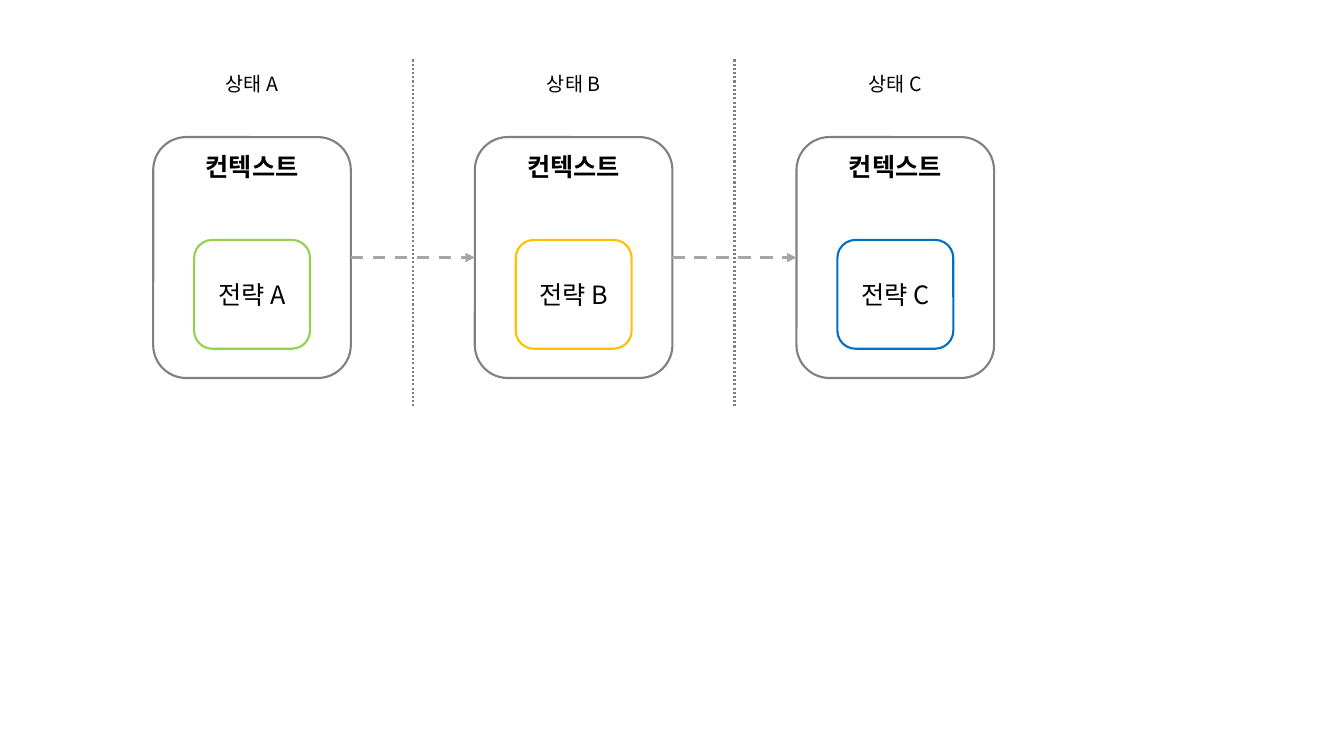
from lxml import etree
from pptx import Presentation
from pptx import util as u
from pptx.dml.color import RGBColor
from pptx.enum import dml, shapes, text
from pptx.oxml.ns import qn

FONT = "Noto Sans CJK KR"
COLORS = {
    "paper": "FFFFFF",
    "ink": "000000",
    "frame": "808080",
    "arrow": "A6A6A6",
}
STATES = [("A", "92D050"), ("B", "FFC000"), ("C", "0070C0")]

FIRST_CENTER = 2.5
PITCH = 3.19
CONTEXT_WIDTH, CONTEXT_HEIGHT = 1.96, 2.39
INNER_WIDTH = 1.15
ROWS = {"label": 0.59, "context": 1.36, "strategy": 2.38, "end": 4.03}


def color(value):
    return RGBColor.from_string(COLORS.get(value, value))


def add_box(diagram, center, top, width, height, words, size=18,
            outline=None, bold=False, anchor=text.MSO_ANCHOR.MIDDLE):
    shape = diagram.add_shape(
        shapes.MSO_SHAPE.ROUNDED_RECTANGLE,
        u.Inches(center - width / 2), u.Inches(top),
        u.Inches(width), u.Inches(height))
    shape.shadow.inherit = False
    shape.fill.solid()
    shape.fill.fore_color.rgb = color("paper")
    if outline:
        shape.line.color.rgb = color(outline)
        shape.line.width = u.Pt(1.5)
    else:
        shape.line.fill.background()
    shape.text_frame.vertical_anchor = anchor
    paragraph = shape.text_frame.paragraphs[0]
    paragraph.alignment = text.PP_ALIGN.CENTER
    run = paragraph.add_run()
    run.text = words
    run.font.name = FONT
    run.font.size = u.Pt(size)
    run.font.bold = bold
    run.font.color.rgb = color("ink")
    east_asian = etree.SubElement(run.font._element, qn("a:ea"))
    east_asian.set("typeface", FONT)


def add_line(diagram, start, end, tint, width, dash, arrow=False):
    connector = diagram.add_connector(
        shapes.MSO_CONNECTOR.STRAIGHT,
        *(u.Inches(length) for length in (*start, *end)))
    connector.line.color.rgb = color(tint)
    connector.line.width = u.Pt(width)
    connector.line.dash_style = dash
    if arrow:
        head = etree.SubElement(connector.line._get_or_add_ln(), qn("a:tailEnd"))
        head.set("type", "triangle")
    etree.SubElement(connector._element.spPr, qn("a:effectLst"))


def add_state(diagram, center, letter, tint):
    add_box(diagram, center, ROWS["context"], CONTEXT_WIDTH, CONTEXT_HEIGHT,
            "컨텍스트", outline="frame", bold=True, anchor=text.MSO_ANCHOR.TOP)
    add_box(diagram, center, ROWS["strategy"], INNER_WIDTH, 1.08,
            f"전략 {letter}", outline=tint)
    add_box(diagram, center, ROWS["label"], INNER_WIDTH, 0.48,
            f"상태 {letter}", size=14)


def add_transition(diagram, center):
    middle = center + PITCH / 2
    reach = (PITCH - CONTEXT_WIDTH) / 2
    height = ROWS["context"] + CONTEXT_HEIGHT / 2
    add_line(diagram, (middle - reach, height), (middle + reach, height),
             "arrow", 2.25, dml.MSO_LINE.DASH, arrow=True)
    add_line(diagram, (middle, ROWS["label"]), (middle, ROWS["end"]),
             "frame", 1.5, dml.MSO_LINE.ROUND_DOT)


def main():
    presentation = Presentation()
    presentation.slide_width = u.Inches(13.33)
    presentation.slide_height = u.Inches(7.5)
    slide = presentation.slides.add_slide(presentation.slide_layouts[6])
    diagram = slide.shapes.add_group_shape().shapes
    centers = [FIRST_CENTER + PITCH * column for column in range(len(STATES))]
    for center, (letter, tint) in zip(centers, STATES):
        add_state(diagram, center, letter, tint)
    for center in centers[:-1]:
        add_transition(diagram, center)
    presentation.save("out.pptx")


if __name__ == "__main__":
    main()
